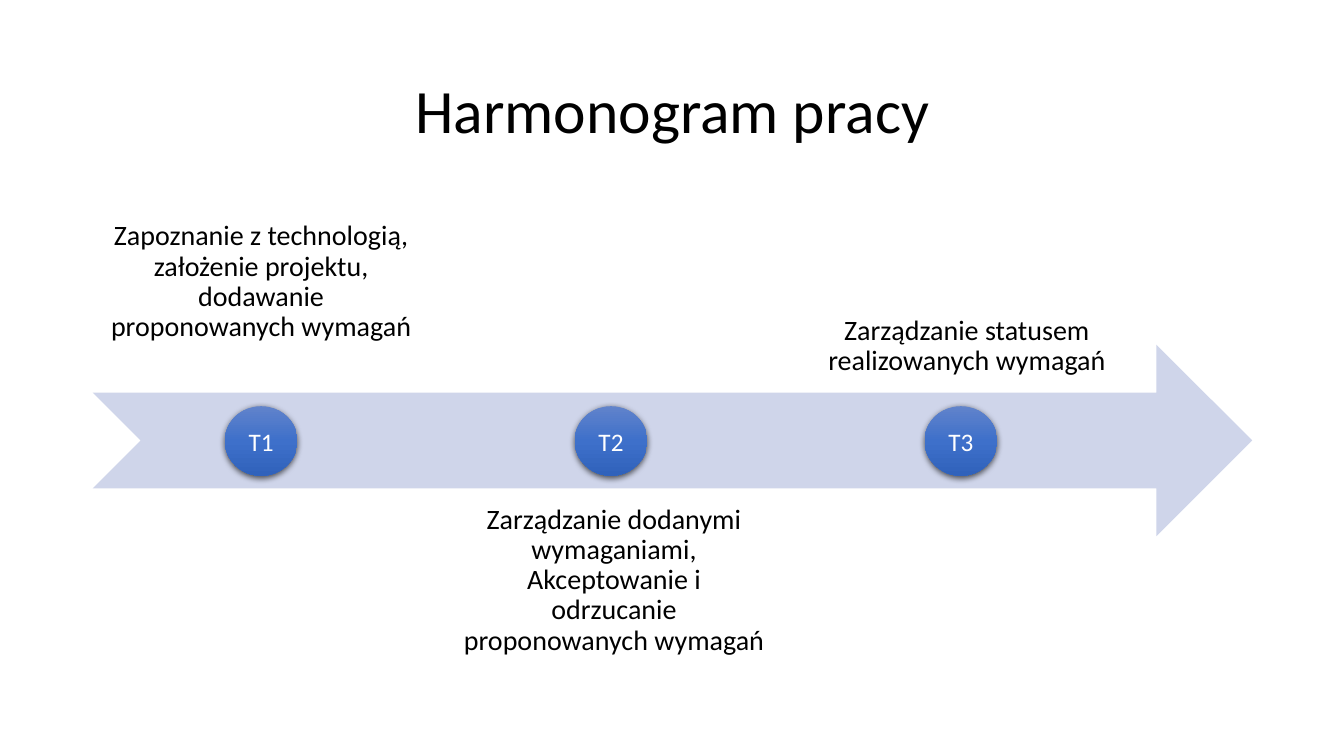
from copy import deepcopy
from dataclasses import dataclass

from lxml import etree
from pptx import Presentation
from pptx.dml.color import RGBColor
from pptx.enum.shapes import MSO_SHAPE as Shape
from pptx.enum.text import MSO_ANCHOR as Anchor, PP_ALIGN as Align
from pptx.oxml.ns import qn
from pptx.util import Inches, Pt


@dataclass(frozen=True)
class Theme:
    font: str = "Calibri"
    title_size: int = 44
    label_size: int = 20
    marker_size: int = 18
    text: str = "000000"
    marker_text: str = "FFFFFF"
    arrow: str = "CFD5EA"
    gradient: tuple = ("6183CB", "3E70CA", "3062BB")
    shadow: str = "000000"


def apply(target, values):
    for name, value in values.items():
        setattr(target, name, value)


class TimelineSlide:
    def __init__(self, slide, theme):
        self.slide = slide
        self.theme = theme

    def set_text(self, shape, text, size, color, anchor, margins, spacing=0.9):
        frame = shape.text_frame
        apply(frame, {"text": text, "word_wrap": True, "vertical_anchor": anchor})
        sides = ("margin_left", "margin_top", "margin_right", "margin_bottom")
        apply(frame, {side: Inches(value) for side, value in zip(sides, margins)})
        paragraph = frame.paragraphs[0]
        apply(paragraph, {"alignment": Align.CENTER, "line_spacing": spacing})
        apply(paragraph.runs[0].font, {"name": self.theme.font, "size": Pt(size)})
        paragraph.runs[0].font.color.rgb = RGBColor.from_string(color)

    def title(self, text, left, top, width, height):
        title = self.slide.shapes.title
        apply(title, {"left": Inches(left), "top": Inches(top),
                      "width": Inches(width), "height": Inches(height)})
        self.set_text(title, text, self.theme.title_size, self.theme.text,
                      Anchor.MIDDLE, (0.1, 0.05, 0.1, 0.05))

    def preset(self, kind, left, top, width, height):
        shape = self.slide.shapes.add_shape(
            kind, Inches(left), Inches(top), Inches(width), Inches(height))
        shape.shadow.inherit = False
        shape.line.fill.background()
        return shape

    def arrow(self, *box):
        arrow = self.preset(Shape.NOTCHED_RIGHT_ARROW, *box)
        arrow.fill.solid()
        arrow.fill.fore_color.rgb = RGBColor.from_string(self.theme.arrow)

    def label(self, text, left, top, width, height, anchor, bottom_margin):
        box = self.slide.shapes.add_textbox(
            Inches(left), Inches(top), Inches(width), Inches(height))
        self.set_text(box, text, self.theme.label_size, self.theme.text,
                      anchor, (0.16, 0.16, 0.16, bottom_margin))

    def marker(self, text, *box):
        marker = self.preset(Shape.OVAL, *box)
        self.shade(marker)
        self.cast_shadow(marker)
        self.set_text(marker, text, self.theme.marker_size, self.theme.marker_text,
                      Anchor.MIDDLE, (0.1, 0.05, 0.1, 0.05), spacing=1.0)

    def shade(self, shape):
        fill = shape.fill
        fill.gradient()
        fill.gradient_angle = 270
        # A middle stop between the two default ones
        first = next(shape._element.spPr.iter(qn("a:gs")))
        middle = deepcopy(first)
        middle.set("pos", "50000")
        first.addnext(middle)
        for stop, color in zip(fill.gradient_stops, self.theme.gradient):
            stop.color.rgb = RGBColor.from_string(color)

    def cast_shadow(self, shape):
        effects = shape._element.spPr.find(qn("a:effectLst"))
        outer = etree.SubElement(
            effects, qn("a:outerShdw"), blurRad=str(Pt(4.5)), dist=str(Pt(1.5)),
            dir="5400000", algn="ctr", rotWithShape="0")
        color = etree.SubElement(outer, qn("a:srgbClr"), val=self.theme.shadow)
        etree.SubElement(color, qn("a:alpha"), val="63000")


def main():
    presentation = Presentation()
    apply(presentation, {"slide_width": Inches(13.33), "slide_height": Inches(7.5)})
    slide = presentation.slides.add_slide(presentation.slide_layouts[5])
    timeline = TimelineSlide(slide, Theme())

    # Title and time arrow
    left, width = 0.92, 11.5
    timeline.title("Harmonogram pracy", left, 0.4, width, 1.45)
    timeline.arrow(left, 3.42, width, 1.9)

    # Stages: text, top, anchor, bottom margin
    stages = [
        ("Zapoznanie z technologią, założenie projektu, dodawanie proponowanych wymagań",
         2, Anchor.BOTTOM, 0.5),
        ("Zarządzanie dodanymi wymaganiami, Akceptowanie i odrzucanie proponowanych wymagań",
         4.85, Anchor.TOP, 0.16),
        ("Zarządzanie statusem realizowanych wymagań",
         2, Anchor.BOTTOM, 0.16),
    ]
    for index, (text, top, anchor, bottom_margin) in enumerate(stages):
        timeline.label(text, left + index * 3.5, top, 3.34, 1.9, anchor, bottom_margin)

    # Numbered markers on the arrow
    for index in range(len(stages)):
        timeline.marker(f"T{index + 1}", 2.23 + index * 3.47, 4.03, 0.72, 0.69)

    presentation.save("out.pptx")


if __name__ == "__main__":
    main()
